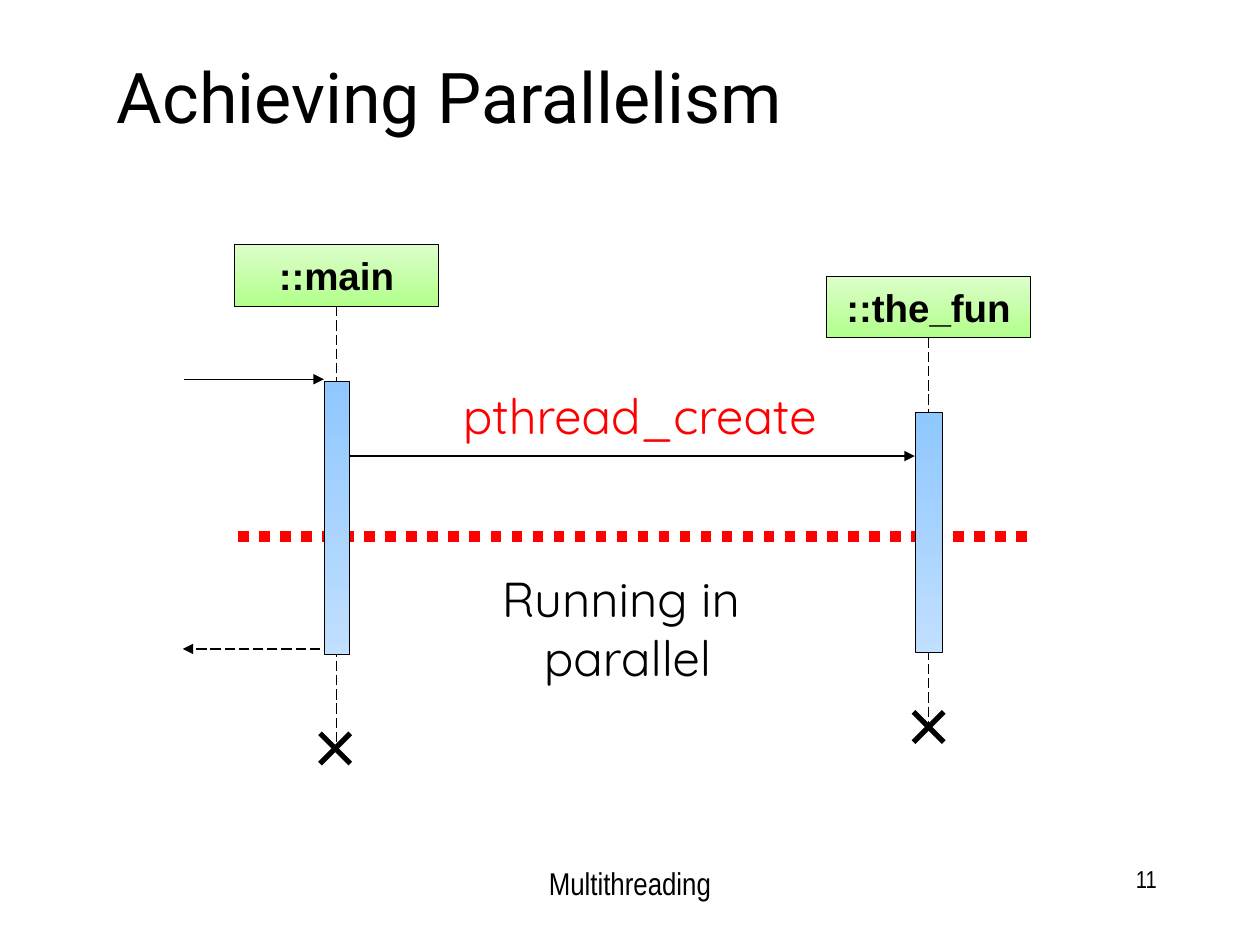
from lxml import etree
from pptx import Presentation
from pptx.dml.color import RGBColor
from pptx.enum.dml import MSO_LINE
from pptx.enum.shapes import MSO_CONNECTOR, MSO_SHAPE
from pptx.enum.text import MSO_ANCHOR, PP_ALIGN
from pptx.oxml.ns import qn
from pptx.util import Inches, Pt

BLACK = RGBColor(0x00, 0x00, 0x00)
RED = RGBColor(0xFF, 0x00, 0x00)
GREENS = (RGBColor(0xDC, 0xFE, 0xCA), RGBColor(0xB2, 0xFF, 0x8B))
BLUES = (RGBColor(0x8F, 0xC7, 0xFF), RGBColor(0xC1, 0xDF, 0xFE))
LEFT, CENTER, RIGHT = PP_ALIGN.LEFT, PP_ALIGN.CENTER, PP_ALIGN.RIGHT
TOP, MIDDLE, BOTTOM = MSO_ANCHOR.TOP, MSO_ANCHOR.MIDDLE, MSO_ANCHOR.BOTTOM
DASH, DOT = MSO_LINE.LONG_DASH, MSO_LINE.ROUND_DOT
RECTANGLE, STRAIGHT = MSO_SHAPE.RECTANGLE, MSO_CONNECTOR.STRAIGHT
SIDE_BOTTOM = 2

# Content: lengths in inches
HEAD_WIDTH, HEAD_HEIGHT = 1.62, 0.49
CROSS_HALF = 0.12
LIFELINES = [
    dict(name="::main", x=2.67, head_top=1.94, end=5.89, cross=(2.66, 5.94),
         bar_width=0.2, bar_top=3.03, bar_bottom=5.19),
    dict(name="::the_fun", x=7.37, head_top=2.19, end=5.82, cross=(7.37, 5.77),
         bar_width=0.22, bar_top=3.27, bar_bottom=5.18),
]
# Start x, end x, y, dash
MESSAGES = [
    (1.46, 2.57, 3.01, None),
    (2.77, 7.26, 3.62, None),
    (2.54, 1.45, 5.15, DASH),
]
PARALLEL_LINE = (1.89, 4.26, 8.2, 4.26)
# Box, lines, font, size, colour, alignment, anchor
TEXTS = [
    ((0.83, 0.43, 7.32, 0.71), ["Achieving Parallelism"], "Roboto", 40, BLACK, LEFT, BOTTOM),
    ((3.05, 3.01, 3.53, 0.57), ["pthread_create"], "Quicksand", 28, RED, RIGHT, MIDDLE),
    ((3.77, 4.46, 2.42, 1.04), ["Running in ", "parallel"], "Quicksand", 28, BLACK, CENTER, MIDDLE),
    ((3.42, 6.81, 3.16, 0.5), ["Multithreading"], "Arial Narrow", 18, BLACK, CENTER, TOP),
    ((7.2, 6.81, 2.08, 0.5), ["11"], "Arial Narrow", 14, BLACK, RIGHT, TOP),
]

presentation = Presentation()
presentation.slide_width, presentation.slide_height = Inches(10), Inches(7.5)
slide = presentation.slides.add_slide(presentation.slide_layouts[6])


def write(shape, lines, font, size, color, alignment, anchor, bold=False):
    frame = shape.text_frame
    frame.vertical_anchor = anchor
    for index, line in enumerate(lines):
        paragraph = frame.add_paragraph() if index else frame.paragraphs[0]
        paragraph.alignment = alignment
        run = paragraph.add_run()
        run.text = line
        run.font.name, run.font.size, run.font.bold = font, Pt(size), bold
        run.font.color.rgb = color


def add_line(x1, y1, x2, y2, width=0.75, color=BLACK, dash=None, arrow=False):
    connector = slide.shapes.add_connector(
        STRAIGHT, Inches(x1), Inches(y1), Inches(x2), Inches(y2))
    connector.line.width = Pt(width)
    connector.line.color.rgb = color
    if dash:
        connector.line.dash_style = dash
    if arrow:
        etree.SubElement(connector.line._get_or_add_ln(), qn("a:tailEnd"), type="triangle")
    etree.SubElement(connector._element.spPr, qn("a:effectLst"))
    return connector


def add_gradient_box(left, top, width, height, colors):
    shape = slide.shapes.add_shape(
        RECTANGLE, Inches(left), Inches(top), Inches(width), Inches(height))
    shape.shadow.inherit = False
    shape.fill.gradient()
    shape.fill.gradient_angle = 270  # first colour at the top
    for stop, color in zip(shape.fill.gradient_stops, colors):
        stop.color.rgb = color
    shape.line.color.rgb = BLACK
    shape.line.width = Pt(0.25)
    return shape


# Heads, lifelines and end crosses
for life in LIFELINES:
    x, head_top = life["x"], life["head_top"]
    head = add_gradient_box(x - HEAD_WIDTH / 2, head_top, HEAD_WIDTH, HEAD_HEIGHT, GREENS)
    head.text_frame.word_wrap = False
    write(head, [life["name"]], "Arial", 22, BLACK, CENTER, MIDDLE, bold=True)
    lifeline = add_line(x, head_top + HEAD_HEIGHT, x, life["end"], dash=DASH)
    lifeline.begin_connect(head, SIDE_BOTTOM)
    cross_x, cross_y = life["cross"]
    for rise in (CROSS_HALF, -CROSS_HALF):
        add_line(cross_x - CROSS_HALF, cross_y - rise,
                 cross_x + CROSS_HALF, cross_y + rise, width=3)

# Messages and the parallel marker
for start, end, y, dash in MESSAGES:
    add_line(start, y, end, y, dash=dash, arrow=True)
add_line(*PARALLEL_LINE, width=6, color=RED, dash=DOT)

# Activation bars, in front of the lines
for life in LIFELINES:
    width = life["bar_width"]
    add_gradient_box(life["x"] - width / 2, life["bar_top"], width,
                     life["bar_bottom"] - life["bar_top"], BLUES)

# Title, labels and footer
for box, *style in TEXTS:
    text_box = slide.shapes.add_textbox(*map(Inches, box))
    text_box.text_frame.word_wrap = True
    write(text_box, *style)

presentation.save("out.pptx")
